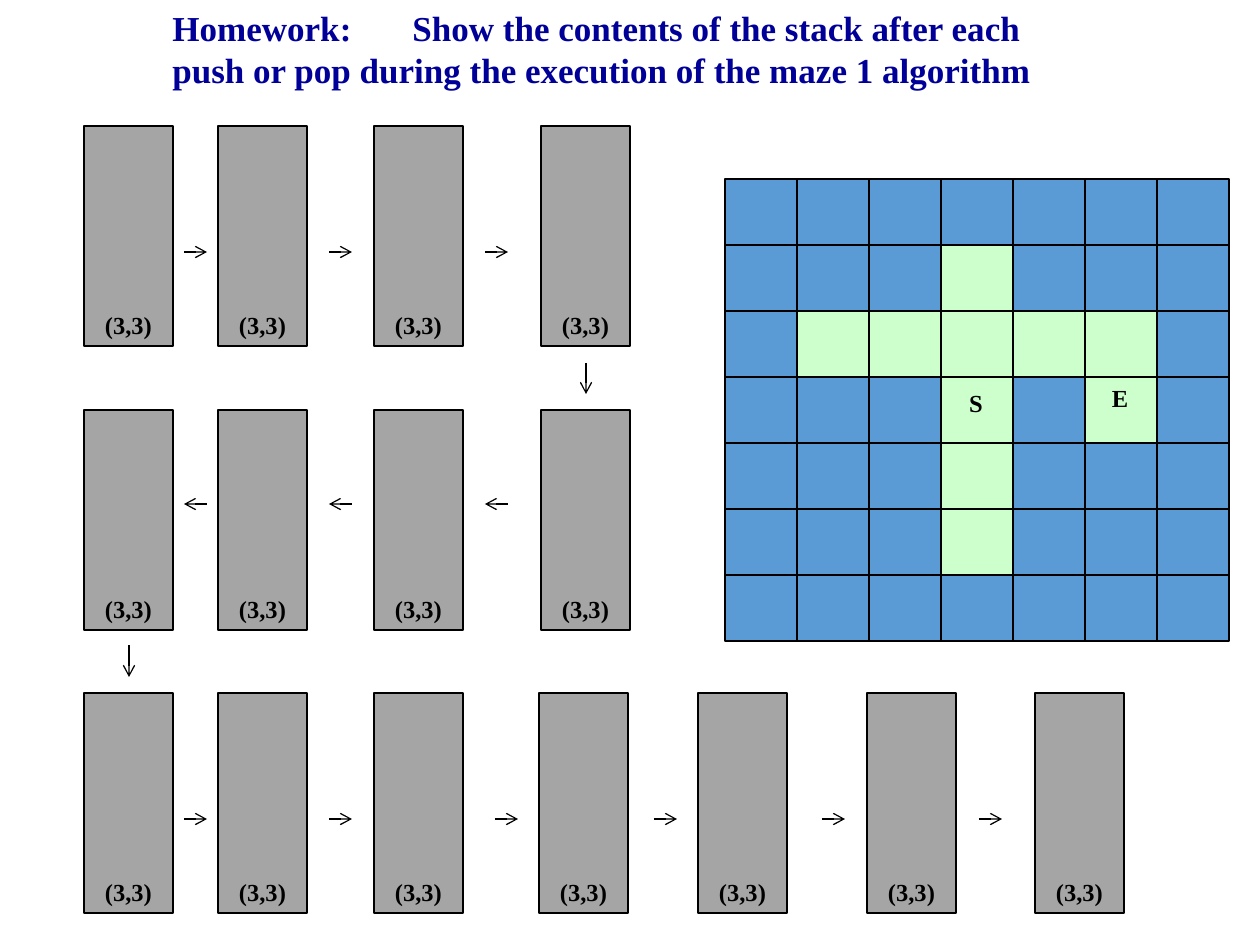
import pptx
import pptx.util
import pptx.dml.color
import pptx.enum.shapes
import pptx.enum.text
from lxml import etree

PX = 914400 / 126
RGB = pptx.dml.color.RGBColor
BLACK = RGB(0x00, 0x00, 0x00)
NAVY = RGB(0x00, 0x00, 0x99)
BLUE = RGB(0x5B, 0x9B, 0xD5)
GREEN = RGB(0xCC, 0xFF, 0xCC)
GRAY = RGB(0xA5, 0xA5, 0xA5)
NS = "{http://schemas.openxmlformats.org/drawingml/2006/main}"
RECT = pptx.enum.shapes.MSO_SHAPE.RECTANGLE
LINE = pptx.enum.shapes.MSO_CONNECTOR.STRAIGHT
CENTER = pptx.enum.text.PP_ALIGN.CENTER
BOTTOM = pptx.enum.text.MSO_ANCHOR.BOTTOM

deck = pptx.Presentation()
deck.slide_width = round(1260 * PX)
deck.slide_height = round(945 * PX)
slide = deck.slides.add_slide(deck.slide_layouts[6])
shapes = slide.shapes


def add_box(x, y, w, h, fill):
    box = shapes.add_shape(RECT, *[round(v * PX) for v in (x, y, w, h)])
    box.shadow.inherit = False
    box.fill.solid()
    box.fill.fore_color.rgb = fill
    box.line.color.rgb = BLACK
    box.line.width = pptx.util.Pt(0.75)
    return box


def set_font(para, size, color):
    para.font.name = "Times New Roman"
    para.font.size = pptx.util.Pt(size)
    para.font.bold = True
    para.font.color.rgb = color


# Maze: # is wall, . is open
maze = [
    "#######",
    "###.###",
    "#.....#",
    "###.#.#",
    "###.###",
    "###.###",
    "#######",
]
for row, cells in enumerate(maze):
    for col, cell in enumerate(cells):
        add_box(725 + 72 * col, 179 + 66 * row, 72, 66,
                BLUE if cell == "#" else GREEN)

# Start and end letters
for mark, x, y in [("S", 951, 382), ("E", 1095, 377)]:
    label = shapes.add_textbox(*[round(v * PX) for v in (x, y, 50, 43)])
    label.text_frame.word_wrap = True
    para = label.text_frame.paragraphs[0]
    para.text = mark
    para.alignment = CENTER
    set_font(para, 14, BLACK)

# Title, with a tab after the first word
title = shapes.add_textbox(*[round(v * PX) for v in (160, 0, 900, 97)])
frame = title.text_frame
frame.word_wrap = True
frame.text = ("Homework:\tShow the contents of the stack after each\n"
              "push or pop during the execution of the maze 1 algorithm")
props = frame.paragraphs[0]._p.get_or_add_pPr()
tabs = etree.SubElement(props, NS + "tabLst")
etree.SubElement(tabs, NS + "tab", pos=str(round(240 * PX)), algn="l")
for para in frame.paragraphs:
    set_font(para, 20, NAVY)

# Stacks
short = [84, 218, 374, 541]
long = [84, 218, 374, 539, 698, 867, 1035]
for top, lefts in [(126, short), (410, short), (693, long)]:
    for left in lefts:
        stack = add_box(left, top, 89, 220, GRAY)
        stack.text_frame.vertical_anchor = BOTTOM
        para = stack.text_frame.paragraphs[0]
        para.text = "(3,3)"
        para.alignment = CENTER
        set_font(para, 14, BLACK)

# Arrows: right, left, right, and down between the rows
gaps = [184, 329, 485]
arrows = [(x, 252, x + 23, 252) for x in gaps]
arrows += [(x + 23, 504, x, 504) for x in gaps]
arrows += [(x, 819, x + 23, 819) for x in (184, 329, 495, 654, 822, 979)]
arrows += [(586, 363, 586, 394), (129, 645, 129, 677)]
for ends in arrows:
    arrow = shapes.add_connector(LINE, *[round(v * PX) for v in ends])
    arrow.line.color.rgb = BLACK
    arrow.line.width = pptx.util.Pt(0.75)
    etree.SubElement(arrow.line._get_or_add_ln(), NS + "tailEnd", type="arrow")
    etree.SubElement(arrow._element.spPr, NS + "effectLst")

deck.save("out.pptx")
